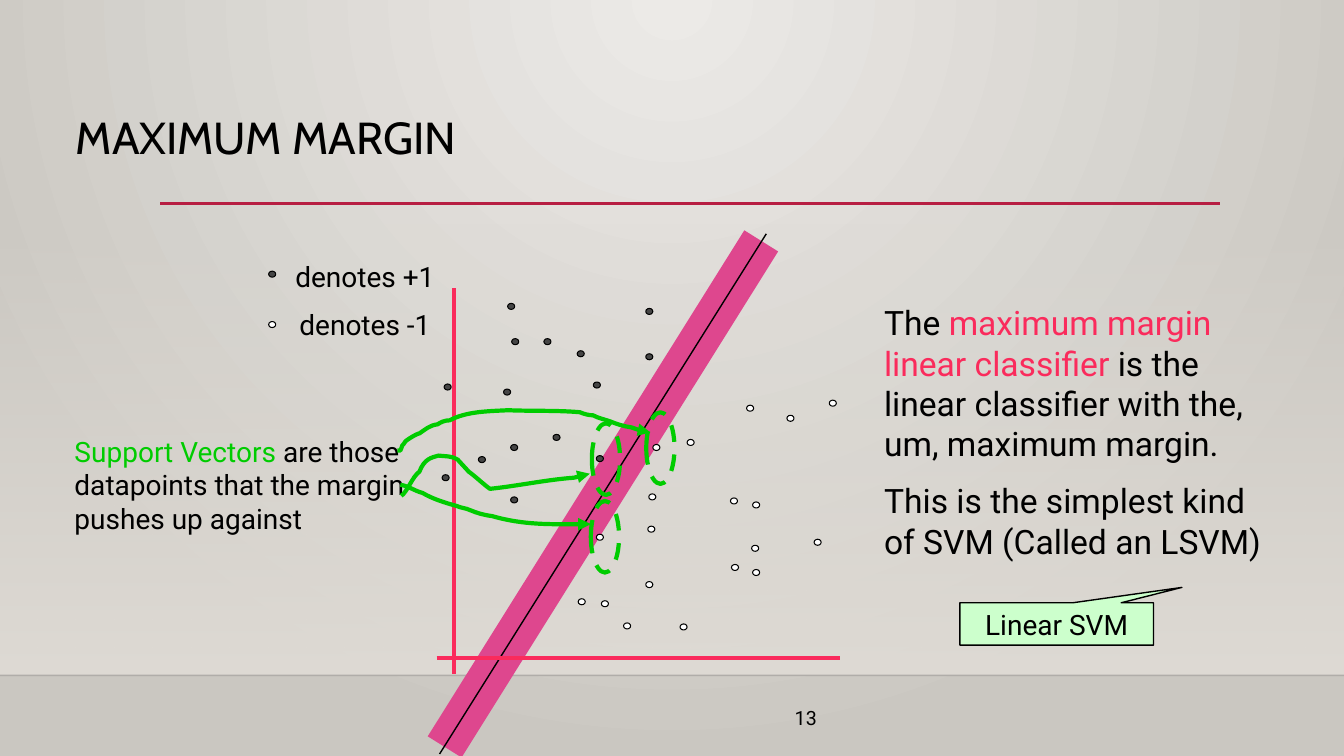
"""Build the maximum margin slide with its scatter plot, support vectors and notes."""
import lxml.etree
import pptx
import pptx.dml.color
import pptx.enum.dml
import pptx.enum.shapes
import pptx.enum.text
import pptx.oxml.ns
import pptx.util

SHAPE = pptx.enum.shapes.MSO_SHAPE
ALIGN = pptx.enum.text.PP_ALIGN
ANCHOR = pptx.enum.text.MSO_ANCHOR

COLS, ROWS = 13.33, 7.5
FONT, TITLE_FONT = "Roboto", "Cabin"
BLACK, DARK, WHITE = "000000", "454545", "FFFFFF"
RED, GREEN = "FA2B5C", "00CC00"
FLOOR = 6.7
DOT = (0.07, 0.06)
RING = (0.28, 0.71)

TITLE = ("MAXIMUM MARGIN", (0.65, 1.1, 5.08, 0.75))
TEXTS = [
    ((0.64, 6.95, 7.56, 0.4), 14, ALIGN.RIGHT, [[("13", BLACK)]]),
    ((2.58, 2.53, 2.08, 0.93), 20, ALIGN.CENTER,
     [[("denotes +1", BLACK)], [("denotes -1", BLACK)]]),
    ((8.67, 2.95, 4, 2.73), 24, ALIGN.LEFT,
     [[("The ", BLACK), ("maximum margin linear classifier", RED),
       (" is the linear classifier with the, um, maximum margin.", BLACK)],
      [("This is the simplest kind of SVM (Called an LSVM)", BLACK)]]),
    ((0.64, 4.26, 3.51, 1.11), 20, ALIGN.LEFT,
     [[("Support Vectors ", GREEN),
       ("are those datapoints that the margin pushes up against", BLACK)]]),
]
CALLOUT = ((9.52, 5.98, 1.92, 0.42), 20, ALIGN.CENTER, [[("Linear SVM", BLACK)]])
CALLOUT_TIP = (0.647, -0.863)

RULES = [
    ((0, FLOOR), (COLS, FLOOR), "000001", 1),
    ((1.59, 2.02), (12.1, 2.02), "B71E42", 2.5),
]
PLOT_LINES = [
    ((4.41, 7.41), (7.55, 2.39), "DE478E", 28.5),
    ((4.36, 7.48), (7.6, 2.32), BLACK, 1),
    ((4.5, 2.86), (4.5, 6.69), RED, 3),
    ((4.33, 6.53), (8.33, 6.53), RED, 3),
]
DOTS = {
    DARK: [(2.7, 2.72), (4.42, 4.74), (6.44, 3.54), (5.43, 3.39), (5.95, 4.55),
           (5.03, 3.89), (5.11, 3.39), (5.1, 4.44), (5.92, 3.82), (5.1, 4.96),
           (6.44, 3.09), (5.07, 3.04), (5.52, 4.34), (4.78, 4.56), (5.76, 3.51),
           (4.44, 3.84)],
    WHITE: [(2.7, 3.22), (5.77, 5.97), (6.51, 4.44), (7.28, 4.97), (5.95, 5.33),
            (8.26, 4), (7.49, 5.44), (6.85, 4.39), (8.11, 5.38), (6.22, 6.21),
            (7.5, 5.01), (6.47, 4.93), (7.84, 4.15), (7.44, 4.05), (7.29, 5.63),
            (6.78, 6.22), (6.44, 5.8), (6.46, 5.25), (6, 5.99), (7.5, 5.68)],
}
RINGS = [(6.41, 4.09), (5.87, 4.2), (5.86, 4.97)]
ARROWS = [
    [(3.98, 4.92), (4.04, 4.88, 4.09, 4.73, 4.16, 4.68),
     (4.21, 4.55, 4.28, 4.54, 4.35, 4.52), (4.43, 4.53, 4.47, 4.52, 4.54, 4.56),
     (4.65, 4.68), (4.72, 4.73, 4.79, 4.8, 4.86, 4.85),
     (5.14, 4.82, 5.42, 4.76, 5.69, 4.74), (5.74, 4.73, 5.8, 4.7, 5.85, 4.7)],
    [(3.94, 4.47), (3.95, 4.47, 3.96, 4.47, 3.97, 4.47),
     (3.98, 4.46, 3.98, 4.44, 3.99, 4.42), (4, 4.41, 4.01, 4.4, 4.02, 4.38),
     (4.04, 4.36, 4.14, 4.3, 4.16, 4.3), (4.22, 4.26, 4.26, 4.22, 4.34, 4.21),
     (4.37, 4.19, 4.41, 4.17, 4.46, 4.17), (4.63, 4.08, 4.85, 4.08, 5.04, 4.07),
     (5.28, 4.08, 5.52, 4.07, 5.75, 4.09), (5.8, 4.11, 5.84, 4.12, 5.88, 4.12),
     (5.94, 4.15, 5.99, 4.16, 6.05, 4.18), (6.12, 4.21, 6.19, 4.23, 6.26, 4.24),
     (6.32, 4.26, 6.39, 4.29, 6.45, 4.29)],
    [(3.97, 4.81), (4.05, 4.82, 4.11, 4.87, 4.19, 4.89),
     (4.29, 4.95, 4.42, 4.99, 4.53, 5.02), (4.57, 5.04, 4.62, 5.04, 4.66, 5.06),
     (4.73, 5.09, 4.8, 5.11, 4.88, 5.12), (5.19, 5.21, 5.54, 5.2, 5.86, 5.2)],
]


def rgb(value):
    return pptx.dml.color.RGBColor.from_string(value)


def grid(*cells):
    return [pptx.util.Inches(c) for c in cells]


def sub(parent, tag, **attrs):
    return lxml.etree.SubElement(parent, pptx.oxml.ns.qn(tag), attrs)


def set_line(sp, color, width):
    sp.line.color.rgb = rgb(color)
    sp.line.width = pptx.util.Pt(width)


def set_gradient(fill, owner, colors):
    fill.gradient()
    for stop, color in zip(fill.gradient_stops, colors):
        stop.color.rgb = rgb(color)
    return owner.xpath(".//a:gradFill")[0]


def add_line(shapes, start, end, color, width):
    sp = shapes.add_connector(pptx.enum.shapes.MSO_CONNECTOR.STRAIGHT, *grid(*start, *end))
    set_line(sp, color, width)
    sub(sp.element.spPr, "a:effectLst")
    return sp


def add_shape(shapes, kind, at, fill=None):
    sp = shapes.add_shape(kind, *grid(*at))
    sp.shadow.inherit = False
    if fill:
        sp.fill.solid()
        sp.fill.fore_color.rgb = rgb(fill)
    else:
        sp.fill.background()
    return sp


def write(tf, size, align, paragraphs):
    tf.word_wrap = True
    for i, runs in enumerate(paragraphs):
        p = tf.add_paragraph() if i else tf.paragraphs[0]
        p.alignment = align
        p.font.size, p.font.name = pptx.util.Pt(size), FONT
        if i:
            p.space_before = pptx.util.Pt(size / 2)
        for text, color in runs:
            r = p.add_run()
            r.text = text
            r.font.color.rgb = rgb(color)


def bend(sp, segments):
    for step, seg in zip(sp.element.xpath(".//a:lnTo"), segments):
        if len(seg) == 6:
            curve = sub(step.getparent(), "a:cubicBezTo")
            step.getparent().replace(step, curve)
            for x, y in zip(grid(*seg[::2]), grid(*seg[1::2])):
                sub(curve, "a:pt", x=str(x - sp.left), y=str(y - sp.top))


def add_arrow(shapes, start, *segments):
    builder = shapes.build_freeform(*grid(*start))
    builder.add_line_segments([grid(*seg[-2:]) for seg in segments], close=False)
    sp = builder.convert_to_shape()
    bend(sp, segments)
    sp.shadow.inherit = False
    sp.fill.background()
    set_line(sp, GREEN, 3)
    sub(sp.element.xpath(".//a:ln")[0], "a:tailEnd", type="triangle")


def add_backdrop(slide):
    grad = set_gradient(slide.background.fill, slide.element, ("ECEAE7", "CAC7C1"))
    grad.remove(grad.xpath("./a:lin")[0])
    circle = sub(grad, "a:path", path="circle")
    sub(circle, "a:fillToRect", l="43000", t="0", r="43000", b="100000")
    wall = add_shape(slide.shapes, SHAPE.RECTANGLE, (0, 2.21, COLS, FLOOR - 2.21))
    grad = set_gradient(wall.fill, wall.element, ("DFDBD5", "DFDBD5"))
    wall.fill.gradient_angle = 270
    sub(grad.xpath(".//a:srgbClr")[0], "a:alpha", val="0")
    wall.line.fill.background()
    edge, _ = [add_line(slide.shapes, *rule) for rule in RULES]
    sub(edge.element.xpath(".//a:ln//a:srgbClr")[0], "a:alpha", val="20000")


def add_title(title, text, at):
    title.left, title.top, title.width, title.height = grid(*at)
    tf = title.text_frame
    tf.text, tf.vertical_anchor, tf.word_wrap = text, ANCHOR.TOP, True
    p = tf.paragraphs[0]
    p.alignment, p.line_spacing = ALIGN.LEFT, 0.9
    p.font.size, p.font.name = pptx.util.Pt(32), TITLE_FONT
    p.font.color.rgb = rgb(BLACK)


def main():
    prs = pptx.Presentation()
    prs.slide_width, prs.slide_height = grid(COLS, ROWS)
    slide = prs.slides.add_slide(prs.slide_layouts[5])
    shapes = slide.shapes
    add_backdrop(slide)
    add_title(shapes.title, *TITLE)
    for line in PLOT_LINES:
        add_line(shapes, *line)
    for fill, centers in DOTS.items():
        for x, y in centers:
            at = (x - DOT[0] / 2, y - DOT[1] / 2, *DOT)
            set_line(add_shape(shapes, SHAPE.OVAL, at, fill), BLACK, 0.75)
    for at, *content in TEXTS:
        write(shapes.add_textbox(*grid(*at)).text_frame, *content)
    for arrow in ARROWS:
        add_arrow(shapes, *arrow)
    for corner in RINGS:
        sp = add_shape(shapes, SHAPE.OVAL, (*corner, *RING))
        set_line(sp, GREEN, 3)
        sp.line.dash_style = pptx.enum.dml.MSO_LINE.DASH
    at, *content = CALLOUT
    sp = add_shape(shapes, SHAPE.RECTANGULAR_CALLOUT, at, "CCFFCC")
    sp.adjustments[0], sp.adjustments[1] = CALLOUT_TIP
    set_line(sp, BLACK, 1)
    write(sp.text_frame, *content)
    prs.save("out.pptx")


if __name__ == "__main__":
    main()
